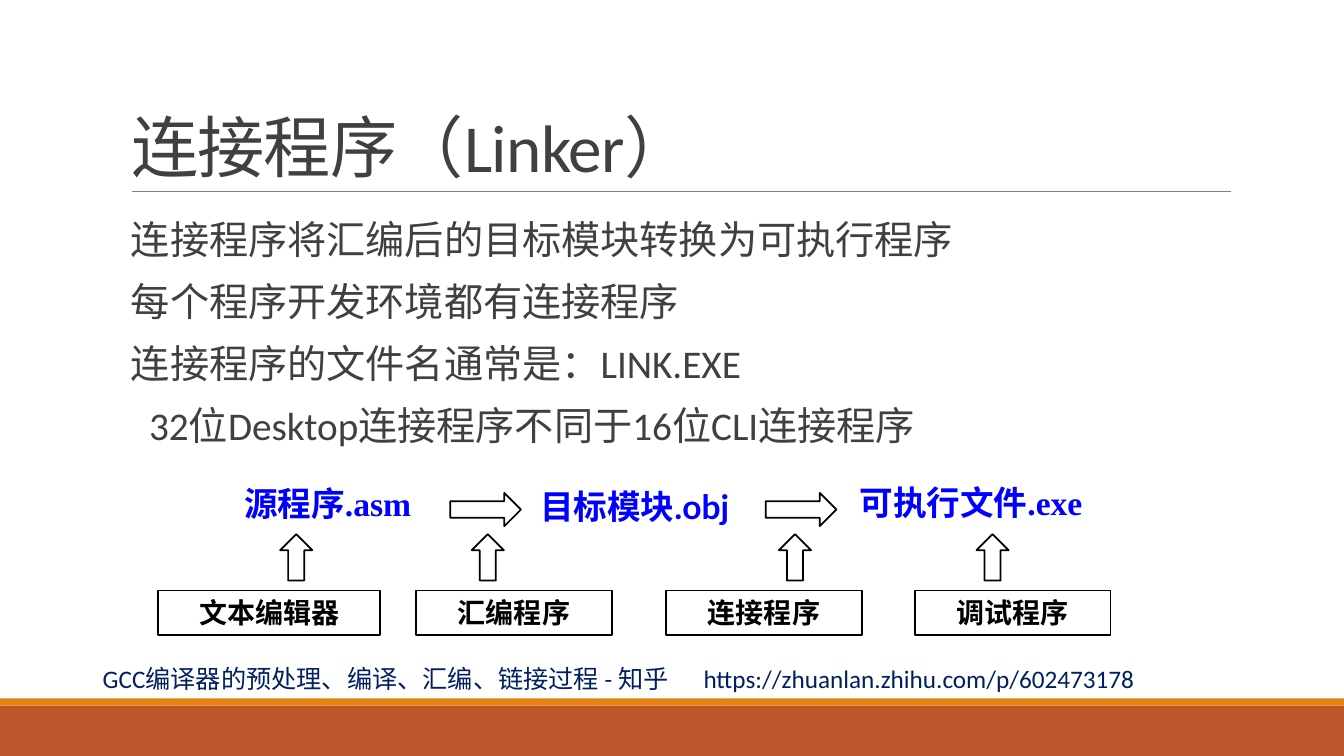
"""Builds a slide on the linker and the chain of assembly tools."""
from typing import NamedTuple

from lxml import etree
from pptx import Presentation
from pptx.dml.color import RGBColor
from pptx.enum.shapes import MSO_CONNECTOR, MSO_SHAPE
from pptx.enum.text import MSO_ANCHOR, MSO_AUTO_SIZE, PP_ALIGN
from pptx.oxml.ns import qn
from pptx.util import Cm, Pt

RECT, RIGHT, UP = MSO_SHAPE.RECTANGLE, MSO_SHAPE.RIGHT_ARROW, MSO_SHAPE.UP_ARROW
STRAIGHT = MSO_CONNECTOR.STRAIGHT
LEFT, CENTER = PP_ALIGN.LEFT, PP_ALIGN.CENTER
TOP, MIDDLE, BOTTOM = MSO_ANCHOR.TOP, MSO_ANCHOR.MIDDLE, MSO_ANCHOR.BOTTOM
NO_FIT = MSO_AUTO_SIZE.NONE
WHITE, BLACK, GREY, BLUE, NAVY = "FFFFFF", "000000", "404040", "0000FF", "002060"
SERIF, SANS = "Times New Roman", "Calibri"
SLIDE_W, SLIDE_H = 33.87, 19.05


class Label(NamedTuple):
    """A text box naming a file."""
    text: str
    x: float
    y: float
    w: float
    font: str
    align: PP_ALIGN


class Tool(NamedTuple):
    """A tool box with the arrow that rises from it."""
    text: str
    x: float
    w: float
    arrow_x: float


TITLE = "连接程序（Linker）"
BODY = [
    ("连接程序将汇编后的目标模块转换为可执行程序", 0.25),
    ("每个程序开发环境都有连接程序", 0.25),
    ("连接程序的文件名通常是：LINK.EXE", 0.25),
    ("32位Desktop连接程序不同于16位CLI连接程序", 0.71),
]
LABELS = [
    Label("源程序.asm", 5.54, 12.04, 5.44, SERIF, CENTER),
    Label("可执行文件.exe", 21.41, 12.01, 6.71, SERIF, LEFT),
    Label("目标模块.obj", 13.36, 12.12, 5.82, "Lato", LEFT),
]
TOOLS = [
    Tool("文本编辑器", 3.99, 5.59, 7.06),
    Tool("汇编程序", 10.49, 4.93, 11.89),
    Tool("连接程序", 16.79, 4.93, 19.63),
    Tool("调试程序", 23.06, 4.93, 24.61),
]
STEP_XS = [11.35, 19.3]
SOURCE = "GCC编译器的预处理、编译、汇编、链接过程 - 知乎\thttps://zhuanlan.zhihu.com/p/602473178"


def rgb(value: str) -> RGBColor:
    """Turn a hex string into a colour."""
    return RGBColor.from_string(value)


def place(sp, x: float, y: float, w: float, h: float) -> None:
    """Move and size a shape in centimetres."""
    sp.left, sp.top, sp.width, sp.height = Cm(x), Cm(y), Cm(w), Cm(h)


def set_frame(tf, anchor: MSO_ANCHOR) -> None:
    """Make a text frame wrap at a fixed size."""
    tf.word_wrap = True
    tf.auto_size = NO_FIT
    tf.vertical_anchor = anchor


def style(p, size: float, font: str, color: str, align: PP_ALIGN = LEFT,
          bold: bool = False) -> None:
    """Format a paragraph and its runs."""
    p.alignment = align
    p.space_before = Pt(0)
    for r in p.runs:
        r.font.size, r.font.name, r.font.bold = Pt(size), font, bold
        r.font.color.rgb = rgb(color)


def add_block(s, kind: MSO_SHAPE, x: float, y: float, w: float, h: float,
              fill: str, line: str = ""):
    """Add a flat preset shape."""
    sp = s.shapes.add_shape(kind, Cm(x), Cm(y), Cm(w), Cm(h))
    sp.shadow.inherit = False
    sp.fill.solid()
    sp.fill.fore_color.rgb = rgb(fill)
    if line:
        sp.line.color.rgb = rgb(line)
        sp.line.width = Pt(1.25)
    else:
        sp.line.fill.background()
    return sp


def add_text(s, text: str, x: float, y: float, w: float, h: float):
    """Add a wrapping text box and return its paragraph."""
    tf = s.shapes.add_textbox(Cm(x), Cm(y), Cm(w), Cm(h)).text_frame
    set_frame(tf, TOP)
    tf.text = text
    return tf.paragraphs[0]


def add_frame(s) -> None:
    """Draw the bottom bars and the rule under the title."""
    add_block(s, RECT, 0, 17.78, SLIDE_W, 1.27, "BD582C")
    add_block(s, RECT, 0, 17.6, SLIDE_W, 0.18, "E48312")
    rule = s.shapes.add_connector(STRAIGHT, Cm(3.33), Cm(4.83), Cm(31.01), Cm(4.83))
    rule.line.color.rgb = rgb("808080")
    rule.line.width = Pt(0.5)
    etree.SubElement(rule._element.spPr, qn("a:effectLst"))


def fill_title(sp) -> None:
    """Write the title."""
    place(sp, 3.05, 0.79, 27.94, 4.04)
    tf = sp.text_frame
    set_frame(tf, BOTTOM)
    tf.text = TITLE
    p = tf.paragraphs[0]
    p.line_spacing = 0.85
    style(p, 48, SANS, GREY)
    p.runs[0].font._element.set("spc", "-50")


def fill_body(sp) -> None:
    """Write the list without bullets."""
    place(sp, 3.05, 5.44, 29.21, 12.09)
    tf = sp.text_frame
    set_frame(tf, TOP)
    tf.margin_left = tf.margin_right = 0
    for i, (text, indent) in enumerate(BODY):
        p = tf.add_paragraph() if i else tf.paragraphs[0]
        p.text = text
        pPr = p._p.get_or_add_pPr()
        pPr.set("marL", str(Cm(indent)))
        pPr.set("indent", "0")
        etree.SubElement(pPr, qn("a:buNone"))
        style(p, 28, SANS, GREY)
        p.line_spacing = 0.9
        p.space_before = Pt(12 if i else 0)
        p.space_after = Pt(2)


def add_tool(s, tool: Tool) -> None:
    """Draw a tool box and its arrow."""
    sp = add_block(s, RECT, tool.x, 14.88, tool.w, 1.12, WHITE, BLACK)
    tf = sp.text_frame
    set_frame(tf, MIDDLE)
    tf.margin_top = tf.margin_bottom = 0
    tf.text = tool.text
    style(tf.paragraphs[0], 20, SERIF, BLACK, CENTER, True)
    add_block(s, UP, tool.arrow_x, 13.46, 0.81, 1.17, WHITE, BLACK)


def add_source(s) -> None:
    """Write the reference line with its address at a tab stop."""
    p = add_text(s, SOURCE, 2.34, 16.59, 29.21, 1.02)
    tabs = etree.SubElement(p._p.get_or_add_pPr(), qn("a:tabLst"))
    etree.SubElement(tabs, qn("a:tab"), pos=str(Cm(15.14)), algn="l")
    style(p, 18, SANS, NAVY)


def main() -> None:
    """Build and save the slide."""
    prs = Presentation()
    prs.slide_width, prs.slide_height = Cm(SLIDE_W), Cm(SLIDE_H)
    s = prs.slides.add_slide(prs.slide_layouts[1])
    fill_title(s.shapes.title)
    fill_body(s.placeholders[1])
    add_frame(s)
    for label in LABELS:
        p = add_text(s, label.text, label.x, label.y, label.w, 1.3)
        style(p, 24, label.font, BLUE, label.align, True)
    for tool in TOOLS:
        add_tool(s, tool)
    for x in STEP_XS:
        add_block(s, RIGHT, x, 12.42, 1.78, 0.84, WHITE, BLACK)
    add_source(s)
    prs.save("out.pptx")


if __name__ == "__main__":
    main()
